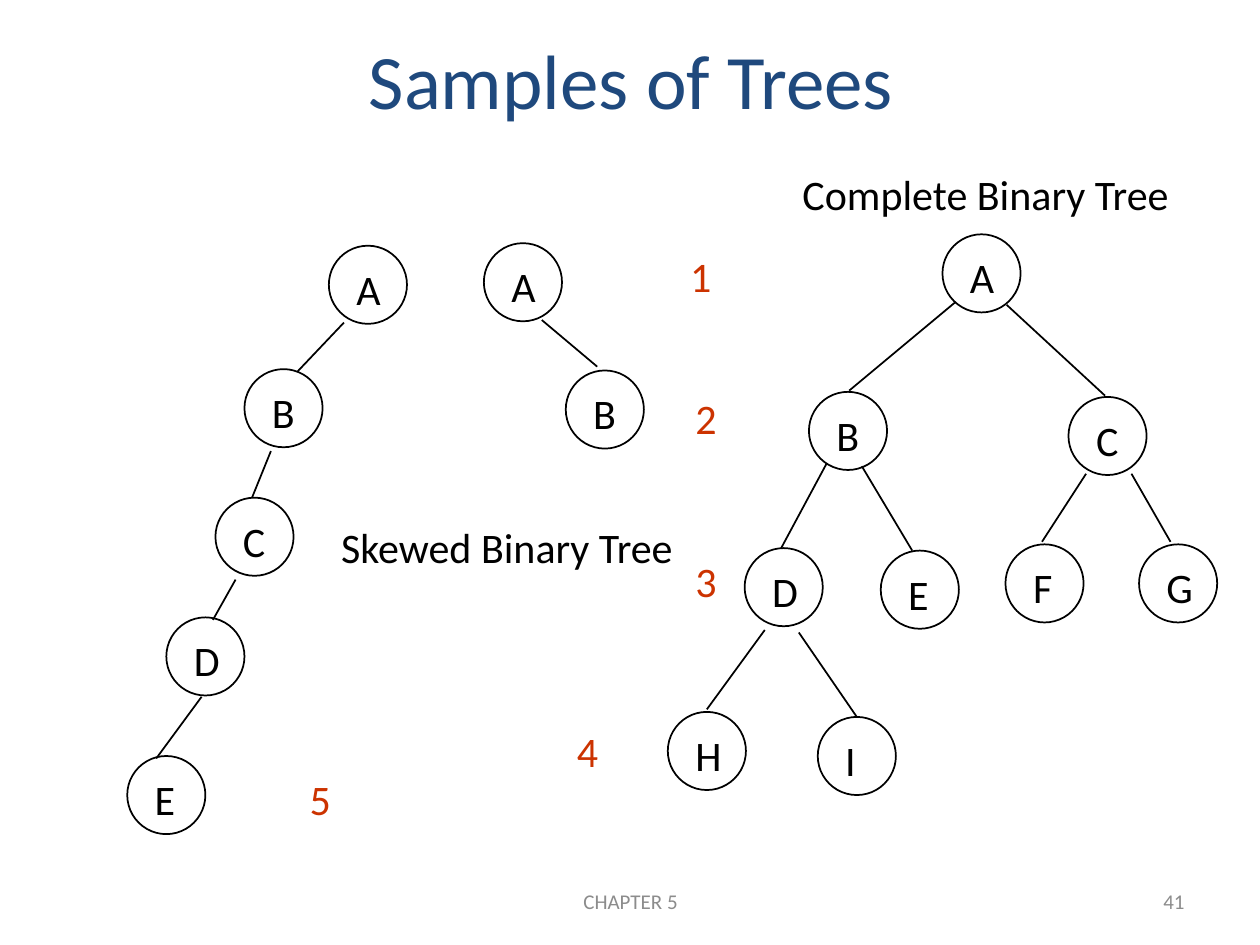
from dataclasses import dataclass

from pptx import Presentation
from pptx.dml.color import RGBColor
from pptx.enum.shapes import MSO_CONNECTOR, MSO_SHAPE
from pptx.enum.text import MSO_ANCHOR, MSO_AUTO_SIZE, PP_ALIGN
from pptx.oxml.ns import qn
from pptx.util import Inches, Pt
from lxml.etree import SubElement


@dataclass(frozen=True)
class Theme:
    font: str = "Calibri"
    ink: str = "000000"
    title: str = "1F497D"
    level: str = "CC3300"
    footer: str = "8C8C8C"
    title_size: int = 44
    body_size: int = 24
    footer_size: int = 12
    line_width: int = 1
    node_size: float = 0.62
    label_height: float = 0.5


LETTER_WIDTHS = {"A": 0.44, "B": 0.42, "C": 0.42, "D": 0.44, "E": 0.4,
                 "F": 0.39, "G": 0.44, "H": 0.44, "I": 0.31}

NODES = [
    ("A", 2.61, 1.95), ("B", 1.94, 2.93), ("C", 1.71, 3.95), ("D", 1.32, 4.9), ("E", 1.01, 6),
    ("A", 3.84, 1.93), ("B", 4.49, 2.94),
    ("A", 7.48, 1.86), ("B", 6.42, 3.11), ("C", 8.48, 3.15),
    ("D", 5.91, 4.35), ("E", 6.99, 4.37), ("F", 7.98, 4.32), ("G", 9.04, 4.32),
    ("H", 5.3, 5.65), ("I", 6.49, 5.69),
]

EDGES = [
    (2.73, 2.56, 2.36, 2.95), (2.15, 3.58, 2, 3.95), (1.87, 4.6, 1.69, 4.92), (1.6, 5.53, 1.24, 6.02),
    (4.3, 2.54, 4.74, 2.91),
    (7.58, 2.4, 6.74, 3.1), (7.99, 2.42, 8.77, 3.14),
    (6.56, 3.68, 6.2, 4.35), (6.84, 3.7, 7.24, 4.37),
    (8.62, 3.76, 8.27, 4.3), (8.98, 3.76, 9.29, 4.3),
    (6.07, 5, 5.61, 5.63), (6.34, 5.02, 6.8, 5.69),
]

CAPTIONS = [("Complete Binary Tree", 6.27, 1.29, 3.18), ("Skewed Binary Tree", 2.61, 4.09, 2.94)]
LEVELS = [("1", 5.38, 1.94), ("2", 5.42, 3.07), ("3", 5.42, 4.36), ("4", 4.48, 5.71), ("5", 2.36, 6.09)]


class TreeSlide:
    """Draws tree diagrams on one slide in a single theme."""

    def __init__(self, slide, theme):
        self.slide = slide
        self.theme = theme

    def text(self, words, left, top, width, height, size, color, align=PP_ALIGN.LEFT, shapes=None, fit=False):
        shapes = shapes or self.slide.shapes
        box = shapes.add_textbox(*map(Inches, (left, top, width, height)))
        frame_format = {
            "word_wrap": not fit,
            "auto_size": MSO_AUTO_SIZE.SHAPE_TO_FIT_TEXT if fit else MSO_AUTO_SIZE.NONE,
            "vertical_anchor": MSO_ANCHOR.TOP if fit else MSO_ANCHOR.MIDDLE,
        }
        for name, value in frame_format.items():
            setattr(box.text_frame, name, value)
        para = box.text_frame.paragraphs[0]
        para.alignment = align
        span = para.add_run()
        span.text = words
        for name, value in {"name": self.theme.font, "size": Pt(size)}.items():
            setattr(span.font, name, value)
        span.font.color.rgb = RGBColor.from_string(color)

    def label(self, words, left, top, width, color=None, shapes=None):
        theme = self.theme
        self.text(words, left, top, width, theme.label_height, theme.body_size,
                  color or theme.ink, shapes=shapes, fit=True)

    def outline(self, line):
        line.color.rgb = RGBColor.from_string(self.theme.ink)
        line.width = Pt(self.theme.line_width)

    def node(self, letter, left, top):
        group = self.slide.shapes.add_group_shape()
        size = self.theme.node_size
        circle = group.shapes.add_shape(MSO_SHAPE.OVAL, *map(Inches, (left, top, size, size)))
        circle.shadow.inherit = False
        circle.fill.background()
        self.outline(circle.line)
        self.label(letter, left + 0.12, top + 0.09, LETTER_WIDTHS[letter], shapes=group.shapes)

    def edge(self, *ends):
        line = self.slide.shapes.add_connector(MSO_CONNECTOR.STRAIGHT, *map(Inches, ends))
        self.outline(line.line)
        SubElement(line._element.spPr, qn("a:effectLst"))


def main():
    deck = Presentation()
    deck.slide_width, deck.slide_height = Inches(10), Inches(7.5)
    theme = Theme()
    page = TreeSlide(deck.slides.add_slide(deck.slide_layouts[6]), theme)

    page.text("CHAPTER 5", 3.42, 6.95, 3.17, 0.4, theme.footer_size, theme.footer, PP_ALIGN.CENTER)
    page.text("41", 7.17, 6.95, 2.33, 0.4, theme.footer_size, theme.footer, PP_ALIGN.RIGHT)
    page.text("Samples of Trees", 0, 0, 10.02, 1.25, theme.title_size, theme.title, PP_ALIGN.CENTER)
    for node in NODES:
        page.node(*node)
    for edge in EDGES:
        page.edge(*edge)
    for caption in CAPTIONS:
        page.label(*caption)
    for number, left, top in LEVELS:
        page.label(number, left, top, 0.37, theme.level)

    deck.save("out.pptx")


if __name__ == "__main__":
    main()
